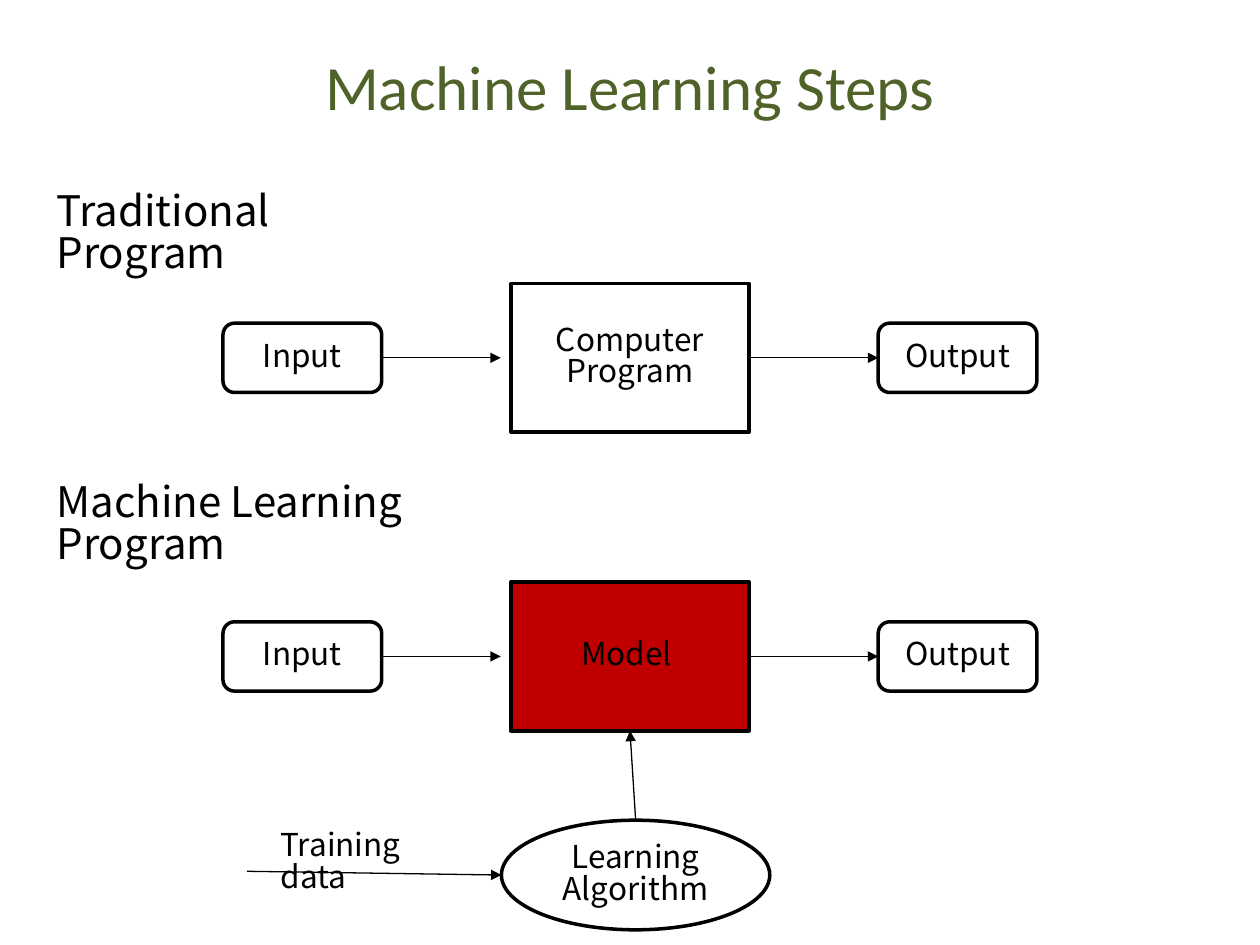
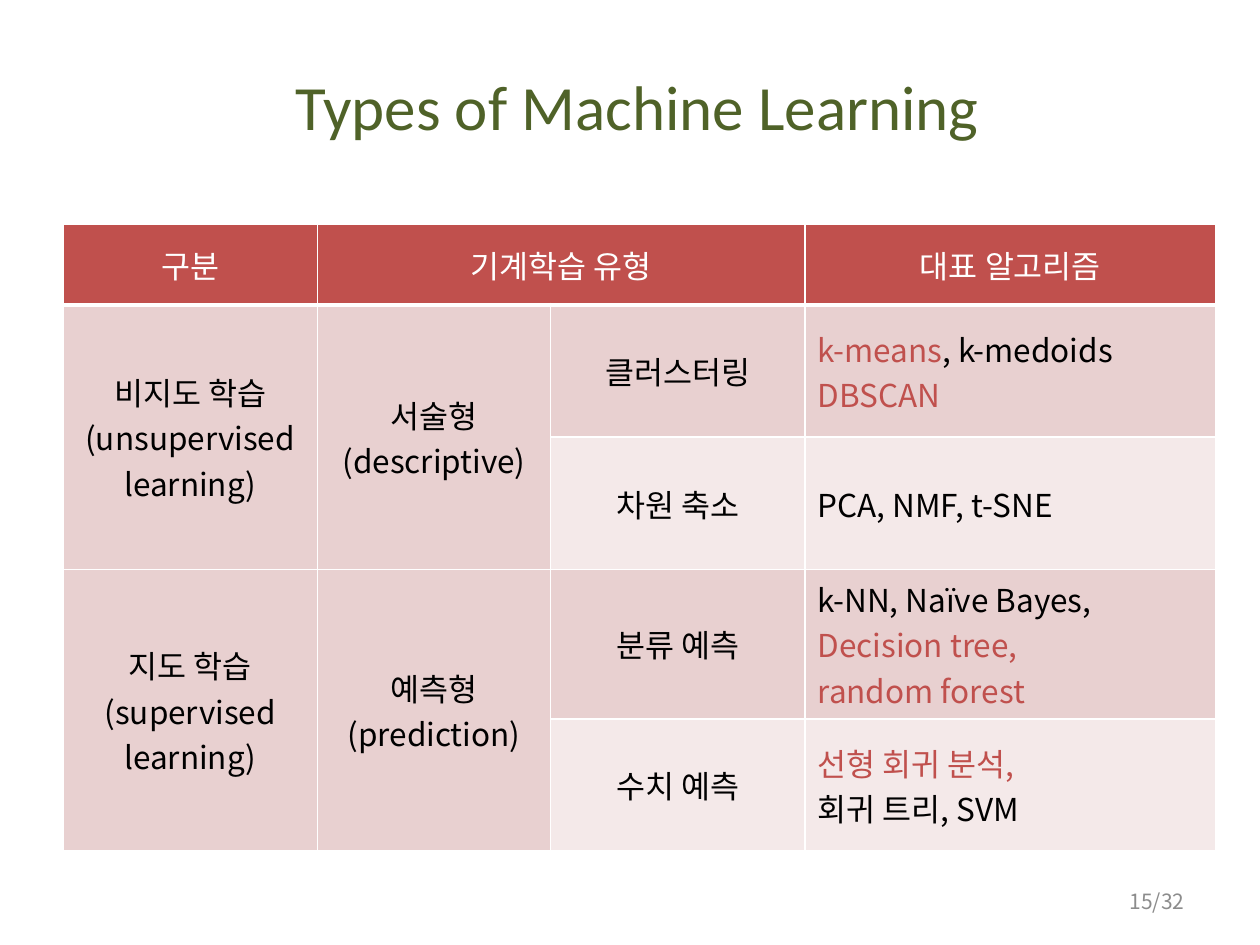
from lxml import etree
from pptx import Presentation
from pptx.dml.color import RGBColor
from pptx.enum.shapes import MSO_CONNECTOR, MSO_SHAPE
from pptx.enum.text import MSO_ANCHOR, PP_ALIGN
from pptx.oxml.ns import qn
from pptx.util import Inches, Pt

LEFT, MID, RIGHT = PP_ALIGN.LEFT, PP_ALIGN.CENTER, PP_ALIGN.RIGHT
TOP, CENTER = MSO_ANCHOR.TOP, MSO_ANCHOR.MIDDLE
RECT, ROUND, OVAL = MSO_SHAPE.RECTANGLE, MSO_SHAPE.ROUNDED_RECTANGLE, MSO_SHAPE.OVAL
LINE = MSO_CONNECTOR.STRAIGHT

BLACK = RGBColor(0x00, 0x00, 0x00)
WHITE = RGBColor(0xFF, 0xFF, 0xFF)
GREEN = RGBColor(0x4F, 0x62, 0x28)
GRAY = RGBColor(0x8C, 0x8C, 0x8C)
RED = RGBColor(0xC0, 0x00, 0x00)
ROSE = RGBColor(0xC0, 0x50, 0x4D)
PINK = RGBColor(0xE8, 0xD0, 0xD0)
PALE = RGBColor(0xF4, 0xE9, 0xE9)

BODY, HEAD = "Noto Sans CJK KR", "Calibri"
WIDE, HIGH = Inches(10), Inches(7.5)
COLS, ROWS = 100, 75
TIGHT = 0.83

HEADER = ["구분", "기계학습 유형", None, "대표 알고리즘"]
GROUPS = [
    ("비지도 학습\n(unsupervised learning)", "서술형\n(descriptive)",
     [("클러스터링", "*k-means*, k-medoids\n*DBSCAN*"),
      ("차원 축소", "PCA, NMF, t-SNE")]),
    ("지도 학습\n(supervised learning)", "예측형\n(prediction)",
     [("분류 예측", "k-NN, Naïve Bayes,\n*Decision tree,*\n*random forest*"),
      ("수치 예측", "*선형 회귀 분석,*\n회귀 트리, SVM")]),
]


def col(n):
    return round(WIDE * n / COLS)


def row(n):
    return round(HIGH * n / ROWS)


def place(x, y, w, h):
    return col(x), row(y), col(w), row(h)


def write(frame, text, size=18, color=BLACK, font=BODY, align=MID, space=None):
    for i, line in enumerate(text.split("\n")):
        para = frame.add_paragraph() if i else frame.paragraphs[0]
        para.alignment = align
        if space:
            para.line_spacing = space
        for j, part in enumerate(line.split("*")):
            if not part:
                continue
            run = para.add_run()
            run.text = part
            run.font.size = Pt(size)
            run.font.name = font
            run.font.color.rgb = ROSE if j % 2 else color
            east = etree.SubElement(run._r.get_or_add_rPr(), qn("a:ea"))
            east.set("typeface", font)


def label(slide, box, text, anchor=CENTER, **form):
    frame = slide.shapes.add_textbox(*place(*box)).text_frame
    frame.word_wrap = True
    frame.vertical_anchor = anchor
    write(frame, text, **form)
    return frame


def note(slide, box, text, size):
    frame = label(slide, box, text, TOP, size=size, align=LEFT, space=TIGHT)
    frame.margin_top = Inches(0.09)


def title(slide, text, y):
    label(slide, (5, y, 90, 12.5), text, size=36, color=GREEN, font=HEAD)


def node(slide, kind, box, text, fill=WHITE):
    shape = slide.shapes.add_shape(kind, *place(*box))
    shape.shadow.inherit = False
    shape.fill.solid()
    shape.fill.fore_color.rgb = fill
    shape.line.color.rgb = BLACK
    shape.line.width = Pt(2)
    frame = shape.text_frame
    frame.word_wrap = True
    frame.vertical_anchor = CENTER
    write(frame, text, space=TIGHT)


def arrow(slide, x1, y1, x2, y2):
    line = slide.shapes.add_connector(LINE, col(x1), row(y1), col(x2), row(y2))
    line.line.color.rgb = BLACK
    line.line.width = Pt(0.75)
    tip = etree.SubElement(line.line._get_or_add_ln(), qn("a:tailEnd"))
    tip.set("type", "triangle")
    etree.SubElement(line._element.spPr, qn("a:effectLst"))


def flow(slide, box, text, fill=WHITE):
    x, y, w, h = box
    side, core, tall, gap = 12.6, 18.9, 5.5, 0.8
    mid = y + h / 2
    start = x + (w - core) / 2
    last = x + w - side
    node(slide, RECT, (start, y, core, h), text, fill)
    for left, name in ((x, "Input"), (last, "Output")):
        node(slide, ROUND, (left, mid - tall / 2, side, tall), name)
    arrow(slide, x + side, mid, start - gap, mid)
    arrow(slide, start + core, mid, last, mid)


def train(slide, box, target):
    x, y, w, h = box
    oval = 21.3
    left = x + w - oval
    node(slide, OVAL, (left, y, oval, h), "Learning Algorithm")
    arrow(slide, left + oval / 2, y, *target)
    arrow(slide, x, y + h / 2 - 0.3, left, y + h / 2)
    note(slide, (x + 1.7, y, 16.4, 4), "Training data", 18)


def steps(slide):
    title(slide, "Machine Learning Steps", 0.5)
    note(slide, (3.5, 14.4, 31.5, 5), "Traditional Program", 24)
    flow(slide, (17.7, 22.5, 64.6, 11.8), "Computer\nProgram")
    note(slide, (3.5, 37.5, 42, 5), "Machine Learning Program", 24)
    flow(slide, (17.7, 46.2, 64.6, 11.8), "Model ", RED)
    train(slide, (19.6, 65.1, 41.5, 8.7), (50, 58))


def edge(cell, base):
    prop = cell._tc.get_or_add_tcPr()
    for i, (side, width) in enumerate(zip("LRTB", (1, 1, 1, base))):
        line = etree.Element(qn("a:ln" + side), w=str(Pt(width)))
        fill = etree.SubElement(line, qn("a:solidFill"))
        etree.SubElement(fill, qn("a:srgbClr"), val=str(WHITE))
        prop.insert(i, line)


def paint(cell, text, fill, base=1, **form):
    cell.fill.solid()
    cell.fill.fore_color.rgb = fill
    cell.vertical_anchor = CENTER
    edge(cell, base)
    if text:
        write(cell.text_frame, text, **form)


def grid(slide, box):
    wide = [20.2, 18.5, 20.2, 32.6]
    tall = [6.4, 10.5, 10.5, 11.6, 10.5]
    table = slide.shapes.add_table(len(tall), len(wide), *place(*box)).table
    for item, size in zip(table.columns, wide):
        item.width = col(size)
    for item, size in zip(table.rows, tall):
        item.height = row(size)
    for c, text in enumerate(HEADER):
        paint(table.cell(0, c), text, ROSE, 3, color=WHITE)
    table.cell(0, 1).merge(table.cell(0, 2))
    for g, (kind, form, items) in enumerate(GROUPS):
        top = 1 + 2 * g
        for i, (task, names) in enumerate(items):
            fill = PALE if i else PINK
            heads = (None, None) if i else (kind, form)
            for c, text in enumerate(heads):
                paint(table.cell(top + i, c), text, PINK)
            paint(table.cell(top + i, 2), task, fill)
            paint(table.cell(top + i, 3), names, fill, align=LEFT)
        for c in range(2):
            table.cell(top, c).merge(table.cell(top + 1, c))


def types(slide):
    grid(slide, (5, 17.8, 91.5, 49.5))
    label(slide, (71.7, 69.5, 23.3, 4), "15/32", size=12, color=GRAY, align=RIGHT)
    title(slide, " Types of Machine Learning", 2.1)


def main():
    deck = Presentation()
    deck.slide_width, deck.slide_height = WIDE, HIGH
    for build in (steps, types):
        build(deck.slides.add_slide(deck.slide_layouts[6]))
    deck.save("out.pptx")


if __name__ == "__main__":
    main()
